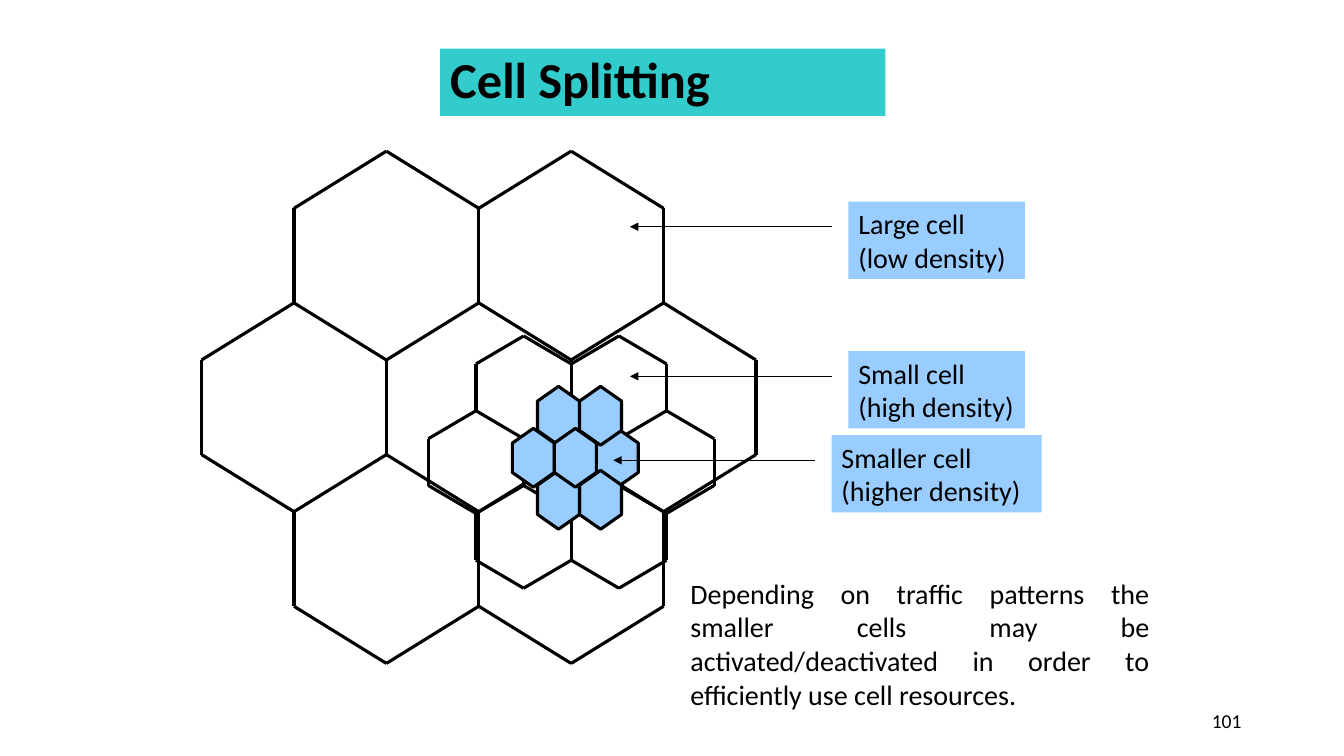
from typing import NamedTuple

from lxml import etree
from pptx import Presentation
from pptx import util as u
from pptx.dml import color
from pptx.enum import shapes, text
from pptx.oxml import ns

COLUMNS, ROWS = 160, 90
UNIT = u.Inches(13.333) / COLUMNS
FONT = "Calibri"
COLORS = {"ink": "000000", "title": "33CCCC", "cell": "99CCFF"}


class Box(NamedTuple):
    column: float
    row: float
    columns: float
    rows: float


class CellCluster(NamedTuple):
    left: float
    top: float
    half_width: float
    slant: float
    pitch: float


class TinyCell(NamedTuple):
    column: float
    row: float
    rows: float = 5
    adjustment: float = 0.35


class Label(NamedTuple):
    wording: str
    arrow_column: float
    arrow_row: float
    columns: float


CELL_TOPS = [(2, 0), (4, 0), (1, 2), (3, 2), (5, 2), (2, 4), (4, 4)]
CELL_CORNERS = [(0, 0), (1, 1), (1, 2), (0, 3), (-1, 2), (-1, 1)]
CLUSTERS = [
    CellCluster(24, 18, 11, 6.8, 18.06),
    CellCluster(51, 40, 5.67, 3.33, 8.9),
]
TINY_CELLS = [
    TinyCell(69, 54.5, 6, 0.29),
    TinyCell(73.5, 54.5),
    TinyCell(71.5, 59.5),
    TinyCell(63.5, 54.5),
    TinyCell(66.5, 59.5),
    TinyCell(66.5, 49.5),
    TinyCell(71.5, 49.5),
]
CENTRE_CELL = TinyCell(68.5, 54.5)
LABELS = [
    Label("Large cell (low density)", 99, 27, 21),
    Label("Small cell (high density)", 99, 44.8, 21),
    Label("Smaller cell (higher density)", 97, 54.8, 25),
]
ARROW_COLUMNS = 24
TINY_CELL_LENGTH = 7


def grid(units: float) -> int:
    return round(units * UNIT)


def rgb(name: str) -> color.RGBColor:
    return color.RGBColor.from_string(COLORS[name])


def place(box: Box) -> list[int]:
    return [grid(length) for length in box]


def write(shape, wording: str, size: int, align=text.PP_ALIGN.LEFT,
          anchor=text.MSO_ANCHOR.TOP, bold: bool = False):
    frame = shape.text_frame
    frame.word_wrap = True
    frame.auto_size = text.MSO_AUTO_SIZE.NONE
    frame.vertical_anchor = anchor
    paragraph = frame.paragraphs[0]
    paragraph.alignment = align
    run = paragraph.add_run()
    run.text = wording
    run.font.name = FONT
    run.font.size = u.Pt(size)
    run.font.bold = bold
    run.font.color.rgb = rgb("ink")
    return paragraph


def add_text(slide, box: Box, wording: str, size: int, align, anchor) -> None:
    write(slide.shapes.add_textbox(*place(box)), wording, size, align, anchor)


def add_line(slide, start: tuple[float, float], end: tuple[float, float],
             width: float, arrow: bool = False) -> None:
    line = slide.shapes.add_connector(
        shapes.MSO_CONNECTOR.STRAIGHT, *map(grid, (*start, *end)))
    line.line.color.rgb = rgb("ink")
    line.line.width = u.Pt(width)
    properties = line._element.spPr
    if arrow:
        outline = properties.find(ns.qn("a:ln"))
        etree.SubElement(outline, ns.qn("a:tailEnd"), type="triangle")
    etree.SubElement(properties, ns.qn("a:effectLst"))


def add_filled(slide, kind, box: Box):
    shape = slide.shapes.add_shape(kind, *place(box))
    shape.shadow.inherit = False
    shape.fill.solid()
    shape.fill.fore_color.rgb = rgb("cell")
    return shape


def add_cluster(slide, cluster: CellCluster) -> None:
    def point(column: int, row: int) -> tuple[float, float]:
        pair, odd = divmod(row, 2)
        return (cluster.left + column * cluster.half_width,
                cluster.top + pair * cluster.pitch + odd * cluster.slant)

    edges = set()
    for column, row in CELL_TOPS:
        corners = [(column + x, row + y) for x, y in CELL_CORNERS]
        for start, end in zip(corners, corners[1:] + corners[:1]):
            edges.add((min(start, end), max(start, end)))
    for start, end in sorted(edges):
        add_line(slide, point(*start), point(*end), 2.25)


def add_tiny_cell(slide, cell: TinyCell) -> None:
    box = Box(cell.column - TINY_CELL_LENGTH / 2, cell.row - cell.rows / 2,
              TINY_CELL_LENGTH, cell.rows)
    hexagon = add_filled(slide, shapes.MSO_SHAPE.HEXAGON, box)
    hexagon.adjustments[0] = cell.adjustment
    hexagon.rotation = 270
    hexagon.line.color.rgb = rgb("ink")
    hexagon.line.width = u.Pt(2.25)


def add_label(slide, label: Label) -> None:
    column, row = label.arrow_column, label.arrow_row
    add_line(slide, (column, row), (column - ARROW_COLUMNS, row), 0.75, arrow=True)
    box = Box(column + 2, row - 3, label.columns, 9.2)
    shape = add_filled(slide, shapes.MSO_SHAPE.RECTANGLE, box)
    shape.line.fill.background()
    write(shape, label.wording, 20)


def add_title(slide) -> None:
    title = slide.shapes.title
    title.left, title.top, title.width, title.height = place(Box(52.4, 5.8, 53, 8))
    title.fill.solid()
    title.fill.fore_color.rgb = rgb("title")
    paragraph = write(title, "Cell Splitting", 36,
                      anchor=text.MSO_ANCHOR.MIDDLE, bold=True)
    paragraph.line_spacing = 0.9


def main() -> None:
    presentation = Presentation()
    presentation.slide_width = grid(COLUMNS)
    presentation.slide_height = grid(ROWS)
    slide = presentation.slides.add_slide(presentation.slide_layouts[5])
    add_text(slide, Box(113, 83.4, 36, 4.8), "101", 14,
             text.PP_ALIGN.RIGHT, text.MSO_ANCHOR.MIDDLE)
    add_title(slide)
    for cluster in CLUSTERS:
        add_cluster(slide, cluster)
    for cell in TINY_CELLS:
        add_tiny_cell(slide, cell)
    add_tiny_cell(slide, CENTRE_CELL)
    for label in LABELS:
        add_label(slide, label)
    add_text(slide, Box(81, 68, 57, 17.4),
             "Depending on traffic patterns the smaller cells may be "
             "activated/deactivated in order to efficiently use cell resources.",
             20, text.PP_ALIGN.JUSTIFY, text.MSO_ANCHOR.TOP)
    presentation.save("out.pptx")


if __name__ == "__main__":
    main()
